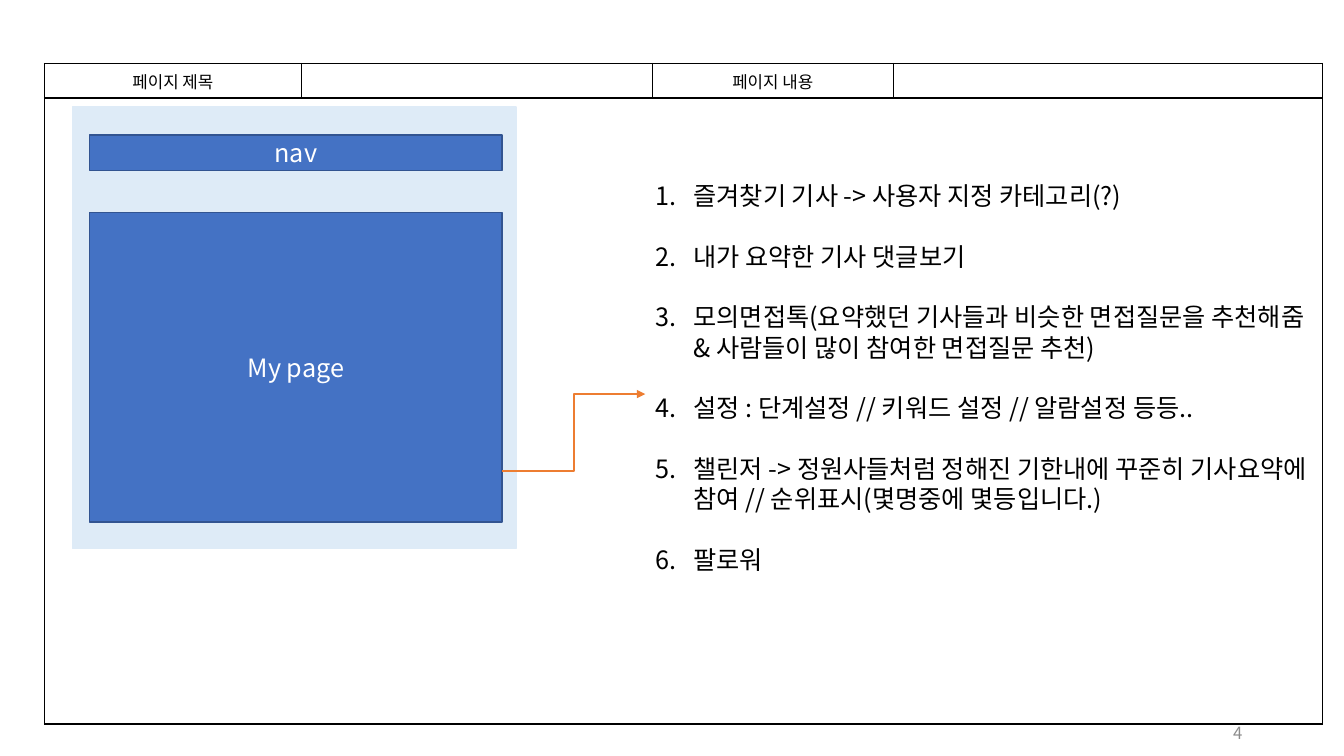
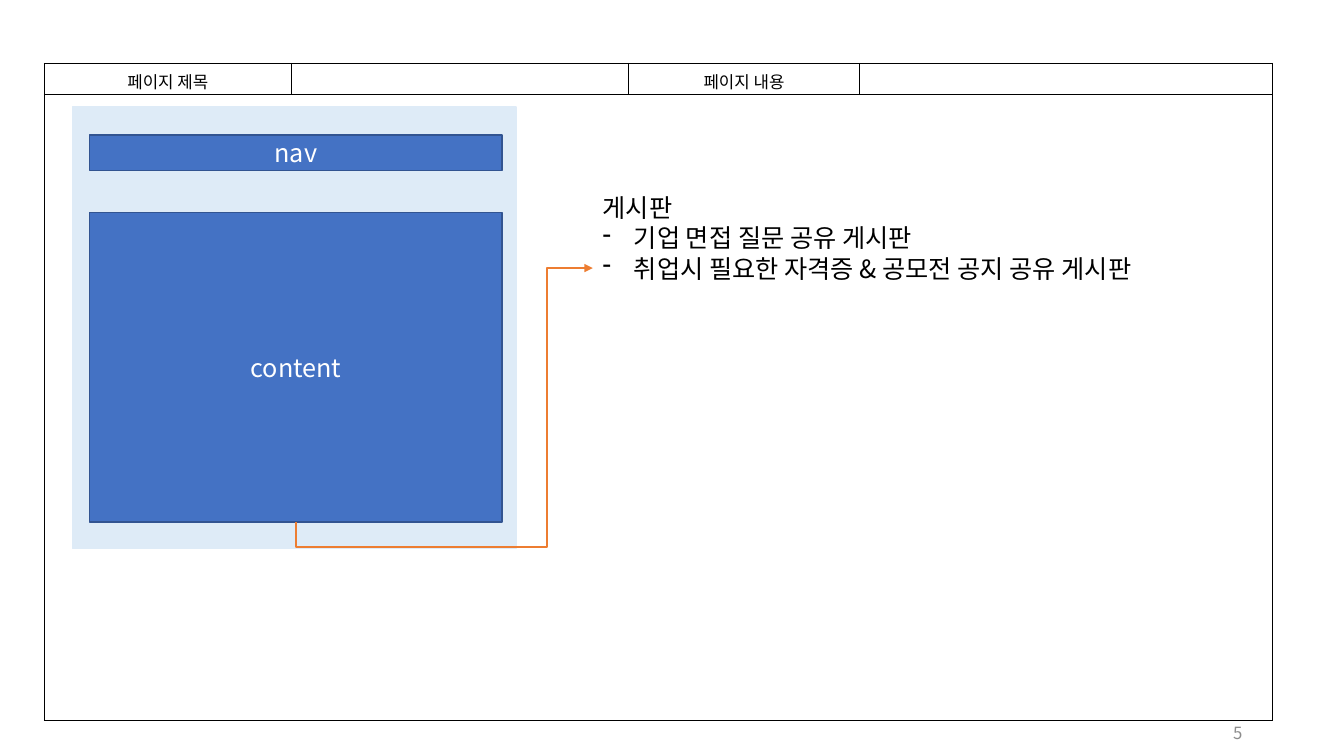
from lxml import etree
from pptx import Presentation
from pptx.dml.color import RGBColor
from pptx.enum import shapes, text
from pptx.oxml import ns
from pptx.util import Inches, Pt

FONT = "Noto Sans CJK KR"
BLACK = RGBColor(0x00, 0x00, 0x00)
WHITE = RGBColor(0xFF, 0xFF, 0xFF)
GRAY = RGBColor(0x8C, 0x8C, 0x8C)
PALE_BLUE = RGBColor(0xDE, 0xEB, 0xF7)
BLUE = RGBColor(0x44, 0x72, 0xC4)
DARK_BLUE = RGBColor(0x32, 0x54, 0x91)
ORANGE = RGBColor(0xED, 0x7D, 0x31)

HEADINGS = ["페이지 제목", "", "페이지 내용", ""]
COLUMN_PARTS = [2.55, 3.48, 2.39, 4.26]
ROW_HEIGHTS = [0.31, 6.21]
NUMBER = ("buAutoNum", {"type": "arabicPeriod"}, 0.38)
DASH = ("buChar", {"char": "-"}, 0.31)

# Boxes are (left, top, width, height) in inches.
MOCKUP_BOX = (0.72, 1.06, 4.4, 4.38)
NAV_BOX = (0.89, 1.34, 4.09, 0.35)
BODY_BOX = (0.89, 2.11, 4.09, 3.07)
NUMBER_BOX = (9.42, 7.07, 3, 0.4)

PAGES = [
    {
        "number": "4",
        "frame_width": 12.68,
        "body": "My page",
        "notes_box": (6.4, 1.74, 6.67, 4.34),
        "gap": 21.7,
        "notes": [
            ("즐겨찾기 기사 -> 사용자 지정 카테고리(?)", NUMBER),
            ("내가 요약한 기사 댓글보기", NUMBER),
            ("모의면접톡(요약했던 기사들과 비슷한 면접질문을 추천해줌 & "
             "사람들이 많이 참여한 면접질문 추천)", NUMBER),
            ("설정 : 단계설정 // 키워드 설정 // 알람설정 등등..", NUMBER),
            ("챌린저 -> 정원사들처럼 정해진 기한내에 꾸준히 기사요약에 참여 // "
             "순위표시(몇명중에 몇등입니다.)", NUMBER),
            ("팔로워", NUMBER),
        ],
        "arrow": {"begin": (4.98, 4.67), "end": (6.4, 3.91),
                  "preset": "bentConnector3", "adjustments": [50000]},
    },
    {
        "number": "5",
        "frame_width": 12.18,
        "body": "content",
        "notes_box": (5.88, 1.86, 6.67, 1.62),
        "gap": 0,
        "notes": [
            ("게시판", None),
            ("기업 면접 질문 공유 게시판", DASH),
            ("취업시 필요한 자격증 & 공모전 공지 공유 게시판", DASH),
        ],
        "arrow": {"begin": (2.94, 5.18), "end": (5.88, 2.66),
                  "preset": "bentConnector4", "adjustments": [-9900, 84700],
                  "quarter_turn": True},
    },
]


def inches(values):
    """Turn a row of numbers into lengths."""
    return [Inches(value) for value in values]


def add_element(parent, tag, **attributes):
    """Append a DrawingML element and return it."""
    return etree.SubElement(parent, ns.qn("a:" + tag), attributes)


def style_paragraph(paragraph, size, color, alignment=text.PP_ALIGN.LEFT):
    """Set the font, also for Korean letters, and the alignment."""
    paragraph.alignment = alignment
    font = paragraph.font
    font.size, font.bold, font.name = Pt(size), False, FONT
    font.color.rgb = color
    properties = paragraph._p.get_or_add_pPr().get_or_add_defRPr()
    add_element(properties, "ea", typeface=FONT)


def add_bullet(paragraph, bullet):
    """Give a paragraph a bullet or number with a hanging indent."""
    tag, attributes, indent = bullet
    properties = paragraph._p.get_or_add_pPr()
    properties.set("marL", str(Inches(indent)))
    properties.set("indent", str(-Inches(indent)))
    mark = add_element(properties, tag, **attributes)
    properties.get_or_add_defRPr().addprevious(mark)


def style_cell(cell):
    """Draw thin black borders and leave the cell unfilled."""
    properties = cell._tc.get_or_add_tcPr()
    for side in ("lnL", "lnR", "lnT", "lnB"):
        border = add_element(properties, side, w=str(Pt(1)))
        add_element(add_element(border, "solidFill"), "srgbClr", val=str(BLACK))
    cell.fill.background()


def add_frame(slide, width):
    """Add the page table: a heading row above one merged area."""
    table = slide.shapes.add_table(
        len(ROW_HEIGHTS), len(HEADINGS),
        *inches((0.44, 0.63, width, sum(ROW_HEIGHTS)))).table
    table.first_row = table.horz_banding = False
    for row, height in zip(table.rows, ROW_HEIGHTS):
        row.height = Inches(height)
    for column, part in zip(table.columns, COLUMN_PARTS):
        column.width = Inches(width * part / sum(COLUMN_PARTS))
    for cell in table.iter_cells():
        style_cell(cell)
    table.cell(1, 0).merge(table.cell(1, len(HEADINGS) - 1))
    for column, heading in enumerate(HEADINGS):
        paragraph = table.cell(0, column).text_frame.paragraphs[0]
        style_paragraph(paragraph, 12, BLACK, text.PP_ALIGN.CENTER)
        if heading:
            paragraph.text = heading
        else:
            paragraph._p.get_or_add_endParaRPr().set("sz", "1200")


def add_block(slide, box, fill, line, label=""):
    """Add a rectangle of the page mockup."""
    shape = slide.shapes.add_shape(shapes.MSO_SHAPE.RECTANGLE, *inches(box))
    shape.shadow.inherit = False
    shape.fill.solid()
    shape.fill.fore_color.rgb = fill
    shape.line.color.rgb = line
    shape.line.width = Pt(1)
    if label:
        frame = shape.text_frame
        frame.vertical_anchor = text.MSO_ANCHOR.MIDDLE
        frame.text = label
        style_paragraph(frame.paragraphs[0], 18, WHITE, text.PP_ALIGN.CENTER)


def add_text_frame(slide, box):
    """Add a wrapping text box and return its text frame."""
    frame = slide.shapes.add_textbox(*inches(box)).text_frame
    frame.word_wrap = True
    return frame


def add_page_number(slide, number):
    """Add the page number at the bottom right."""
    frame = add_text_frame(slide, NUMBER_BOX)
    frame.vertical_anchor = text.MSO_ANCHOR.MIDDLE
    frame.text = number
    style_paragraph(frame.paragraphs[0], 12, GRAY, text.PP_ALIGN.RIGHT)


def add_notes(slide, box, notes, gap):
    """Add the page description, one paragraph per entry."""
    frame = add_text_frame(slide, box)
    for index, (words, bullet) in enumerate(notes):
        paragraph = frame.add_paragraph() if index else frame.paragraphs[0]
        paragraph.text = words
        style_paragraph(paragraph, 18, BLACK)
        if index and gap:
            paragraph.space_before = Pt(gap)
        if bullet:
            add_bullet(paragraph, bullet)


def add_arrow(slide, begin, end, preset, adjustments, quarter_turn=False):
    """Add a bent arrow; a quarter turn makes it leave vertically."""
    (x1, y1), (x2, y2) = begin, end
    if quarter_turn:
        middle_x, middle_y = (x1 + x2) / 2, (y1 + y2) / 2
        half_x, half_y = (y2 - y1) / 2, (x1 - x2) / 2
        x1, y1 = middle_x - half_x, middle_y - half_y
        x2, y2 = middle_x + half_x, middle_y + half_y
    connector = slide.shapes.add_connector(
        shapes.MSO_CONNECTOR.ELBOW, *inches((x1, y1, x2, y2)))
    connector.line.color.rgb = ORANGE
    connector.line.width = Pt(1.5)
    properties = connector._element.spPr
    if quarter_turn:
        properties.find(ns.qn("a:xfrm")).set("rot", str(90 * 60000))
    geometry = properties.find(ns.qn("a:prstGeom"))
    geometry.set("prst", preset)
    guides = geometry.find(ns.qn("a:avLst"))
    for index, value in enumerate(adjustments, 1):
        add_element(guides, "gd", name=f"adj{index}", fmla=f"val {value}")
    add_element(properties.find(ns.qn("a:ln")), "tailEnd", type="triangle")
    add_element(properties, "effectLst")


def add_page(presentation, page):
    """Build one slide: frame, mockup, description and arrow."""
    slide = presentation.slides.add_slide(presentation.slide_layouts[6])
    add_frame(slide, page["frame_width"])
    add_page_number(slide, page["number"])
    add_block(slide, MOCKUP_BOX, PALE_BLUE, PALE_BLUE)
    add_block(slide, NAV_BOX, BLUE, DARK_BLUE, "nav")
    add_block(slide, BODY_BOX, BLUE, DARK_BLUE, page["body"])
    add_notes(slide, page["notes_box"], page["notes"], page["gap"])
    add_arrow(slide, **page["arrow"])


presentation = Presentation()
presentation.slide_width, presentation.slide_height = inches((13.33, 7.5))
for page in PAGES:
    add_page(presentation, page)
presentation.save("out.pptx")
